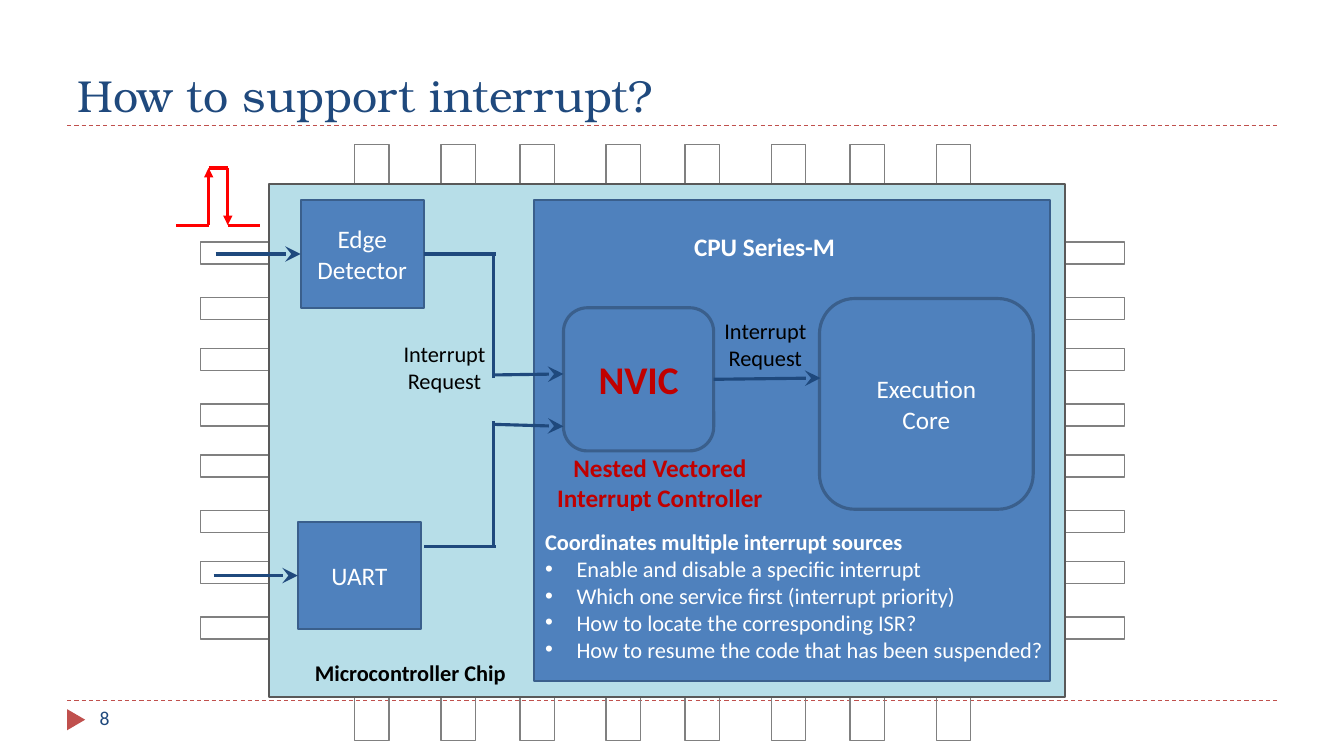
from dataclasses import dataclass

from lxml import etree
from pptx import Presentation
from pptx.dml.color import RGBColor
from pptx.enum.dml import MSO_LINE
from pptx.enum.shapes import MSO_CONNECTOR, MSO_SHAPE
from pptx.enum.text import MSO_ANCHOR, PP_ALIGN
from pptx.oxml.ns import qn
from pptx.util import Emu, Pt

WIDE, HIGH = 12192000, 6858000
COL, ROW = WIDE / 160, HIGH / 90
RECT, ROUND = MSO_SHAPE.RECTANGLE, MSO_SHAPE.ROUNDED_RECTANGLE
WEDGE = MSO_SHAPE.ISOSCELES_TRIANGLE
LEFT, CENTER = PP_ALIGN.LEFT, PP_ALIGN.CENTER
TOP, MIDDLE, BOTTOM = MSO_ANCHOR.TOP, MSO_ANCHOR.MIDDLE, MSO_ANCHOR.BOTTOM
STRAIGHT, DASH = MSO_CONNECTOR.STRAIGHT, MSO_LINE.DASH
NAVY, BLUE, EDGE, RED = "1F497D", "4F81BD", "3A5F8C", "FF0000"
BRICK, CRIMSON, WHITE, BLACK = "C0504D", "C00000", "FFFFFF", "000000"
INDENT = 285750
SPAN = {"triangle": "med", "stealth": "lg"}


@dataclass
class Box:
    key: str
    at: tuple
    fill: str = ""
    line: str = EDGE
    weight: float = 1.5
    form: int = RECT
    turn: int = 0
    lines: tuple = ()
    size: int = 18
    ink: str = WHITE
    bold: bool = False


@dataclass
class Label:
    at: tuple
    lines: tuple
    size: int = 16
    ink: str = BLACK
    bold: bool = False
    align: int = CENTER
    anchor: int = TOP
    wrap: bool = True
    face: str = "Calibri"
    points: tuple = ()


@dataclass
class Wire:
    start: tuple
    end: tuple
    ink: str = NAVY
    weight: float = 2.25
    head: str = ""
    tail: str = ""
    dash: bool = False
    source: tuple = ()
    target: tuple = ()


def paint(code: str) -> RGBColor:
    return RGBColor.from_string(code)


def scale(spot: tuple) -> list:
    return [Emu(round(n * (COL, ROW)[i % 2])) for i, n in enumerate(spot)]


def apply(item, values: dict) -> None:
    for key, value in values.items():
        setattr(item, key, value)


def write(frame, lines: tuple, size: int, ink: str, bold: bool, align: int,
          face: str = "Calibri", points: tuple = ()) -> None:
    for i, text in enumerate(lines + points):
        para = frame.paragraphs[0] if i == 0 else frame.add_paragraph()
        para.text = text
        para.alignment = align
        point = i >= len(lines)
        if point:
            props = para._p.get_or_add_pPr()
            props.set("marL", str(INDENT))
            props.set("indent", str(-INDENT))
            etree.SubElement(props, qn("a:buFont")).set("typeface", "Arial")
            etree.SubElement(props, qn("a:buChar")).set("char", "•")
        font = para.runs[0].font
        apply(font, {"name": face, "size": Pt(size), "bold": bold and not point})
        font.color.rgb = paint(ink)


def draw_box(slide, box: Box):
    shape = slide.shapes.add_shape(box.form, *scale(box.at))
    shape.rotation = box.turn
    shape.shadow.inherit = False
    if box.fill:
        shape.fill.solid()
        shape.fill.fore_color.rgb = paint(box.fill)
    else:
        shape.fill.background()
    if box.line:
        shape.line.color.rgb = paint(box.line)
        shape.line.width = Pt(box.weight)
    else:
        shape.line.fill.background()
    if box.lines:
        apply(shape.text_frame, {"word_wrap": True, "vertical_anchor": MIDDLE})
        write(shape.text_frame, box.lines, box.size, box.ink, box.bold, CENTER)
    return shape


def draw_label(slide, label: Label) -> None:
    frame = slide.shapes.add_textbox(*scale(label.at)).text_frame
    apply(frame, {"word_wrap": label.wrap, "vertical_anchor": label.anchor})
    write(frame, label.lines, label.size, label.ink, label.bold, label.align,
          label.face, label.points)


def draw_wire(slide, wire: Wire, shapes: dict) -> None:
    link = slide.shapes.add_connector(STRAIGHT, *scale(wire.start + wire.end))
    for joint, join in ((wire.source, link.begin_connect), (wire.target, link.end_connect)):
        if joint:
            key, side = joint
            join(shapes[key], side)
    link.line.color.rgb = paint(wire.ink)
    link.line.width = Pt(wire.weight)
    if wire.dash:
        link.line.dash_style = DASH
    props = link._element.spPr
    for tag, kind in (("a:headEnd", wire.head), ("a:tailEnd", wire.tail)):
        if kind:
            tip = etree.SubElement(props.find(qn("a:ln")), qn(tag))
            for key, value in {"type": kind, "w": SPAN[kind], "len": SPAN[kind]}.items():
                tip.set(key, value)
    etree.SubElement(props, qn("a:effectLst"))


PINS = [
    Box("Pin", at, line="808080", weight=1)
    for make in (
        lambda pair, odd: (42.24 + 19.65 * pair + 10.28 * odd, 17.2, 4.1, 71),
        lambda pair, odd: (23.86, 28.8 + 12.68 * pair + 6.6 * odd, 110, 2.64),
    )
    for at in (make(*divmod(i, 2)) for i in range(8))
]

BOXES = [
    Box("Marker", (7.8, 84.6, 2.52, 2.16), BRICK, "", form=WEDGE, turn=90),
    *PINS,
    Box("Chip", (32.04, 21.88, 94.8, 61.08), "B7DEE8", "595959"),
    Box("Edge", (35.8, 23.82, 14.64, 12.84), BLUE, lines=("Edge Detector",)),
    Box("Panel", (63.6, 23.8, 61.44, 57.24), BLUE),
    Box("Core", (97.56, 35.54, 25.44, 25.08), BLUE, weight=2.25, form=ROUND,
        lines=("Execution", "Core")),
    Box("NVIC", (67.08, 36.64, 17.88, 17.04), BLUE, weight=2.25, form=ROUND,
        lines=("NVIC",), size=28, ink=CRIMSON, bold=True),
    Box("UART", (35.46, 62.1, 14.64, 12.84), BLUE, lines=("UART",)),
]

RULES = [Wire((8, y), (152, y), BRICK, 0.75, dash=True) for y in (14.97, 83.4)]

PULSE = [
    Wire((21, 26.8), (24.84, 26.8), RED),
    Wire((24.84, 20), (24.84, 26.8), RED, head="triangle"),
    Wire((27.12, 20), (27.12, 26.8), RED, tail="triangle"),
    Wire((27.12, 26.8), (30.96, 26.8), RED),
    Wire((24.84, 20), (27.12, 20), RED),
]

WIRES = [
    Wire((25.68, 30.24), (35.8, 30.24), tail="stealth", target=("Edge", 1)),
    Wire((50.44, 30.24), (59.04, 30.24), source=("Edge", 3)),
    Wire((58.8, 45), (58.8, 30.24)),
    Wire((58.8, 44.64), (67.08, 44.52), tail="stealth"),
    Wire((84.96, 45.16), (97.68, 45), tail="stealth", source=("NVIC", 3)),
    Wire((25.44, 68.52), (35.46, 68.52), tail="stealth", target=("UART", 1)),
    Wire((50.52, 65.04), (59.04, 65.04)),
    Wire((58.8, 50.16), (58.8, 65.04)),
    Wire((58.8, 50.52), (67.08, 50.76), tail="stealth"),
]

LABELS = [
    Label((8.04, 2.04, 144, 12.96), ("How to support interrupt?",), 32, NAVY,
          align=LEFT, anchor=BOTTOM, face="TeX Gyre Bonum"),
    Label((10.68, 83.4, 34.68, 4.8), ("8",), 14, NAVY, align=LEFT),
    Label((78.96, 27, 24.12, 4.8), ("CPU Series-M",), 18, WHITE, True, wrap=False),
    Label((32.7, 77.88, 32.28, 4.44), ("Microcontroller Chip",), bold=True),
    *(Label((x, y, 15.12, 7.68), ("Interrupt Request",))
      for x, y in ((45.36, 39.96), (83.56, 37.2))),
    Label((62.96, 53.22, 31.2, 8.52), ("Nested Vectored Interrupt Controller",),
          18, CRIMSON, True),
    Label((63.72, 62.3, 63.12, 17.4), ("Coordinates multiple interrupt sources",),
          16, WHITE, True, LEFT, wrap=False, points=(
              "Enable and disable a specific interrupt",
              "Which one service first (interrupt priority)",
              "How to locate the corresponding ISR?",
              "How to resume the code that has been suspended?")),
]


def main() -> None:
    deck = Presentation()
    apply(deck, {"slide_width": Emu(WIDE), "slide_height": Emu(HIGH)})
    slide = deck.slides.add_slide(deck.slide_layouts[6])
    for rule in RULES:
        draw_wire(slide, rule, {})
    shapes = {box.key: draw_box(slide, box) for box in BOXES}
    for wire in PULSE + WIRES:
        draw_wire(slide, wire, shapes)
    for label in LABELS:
        draw_label(slide, label)
    deck.save("out.pptx")


if __name__ == "__main__":
    main()
